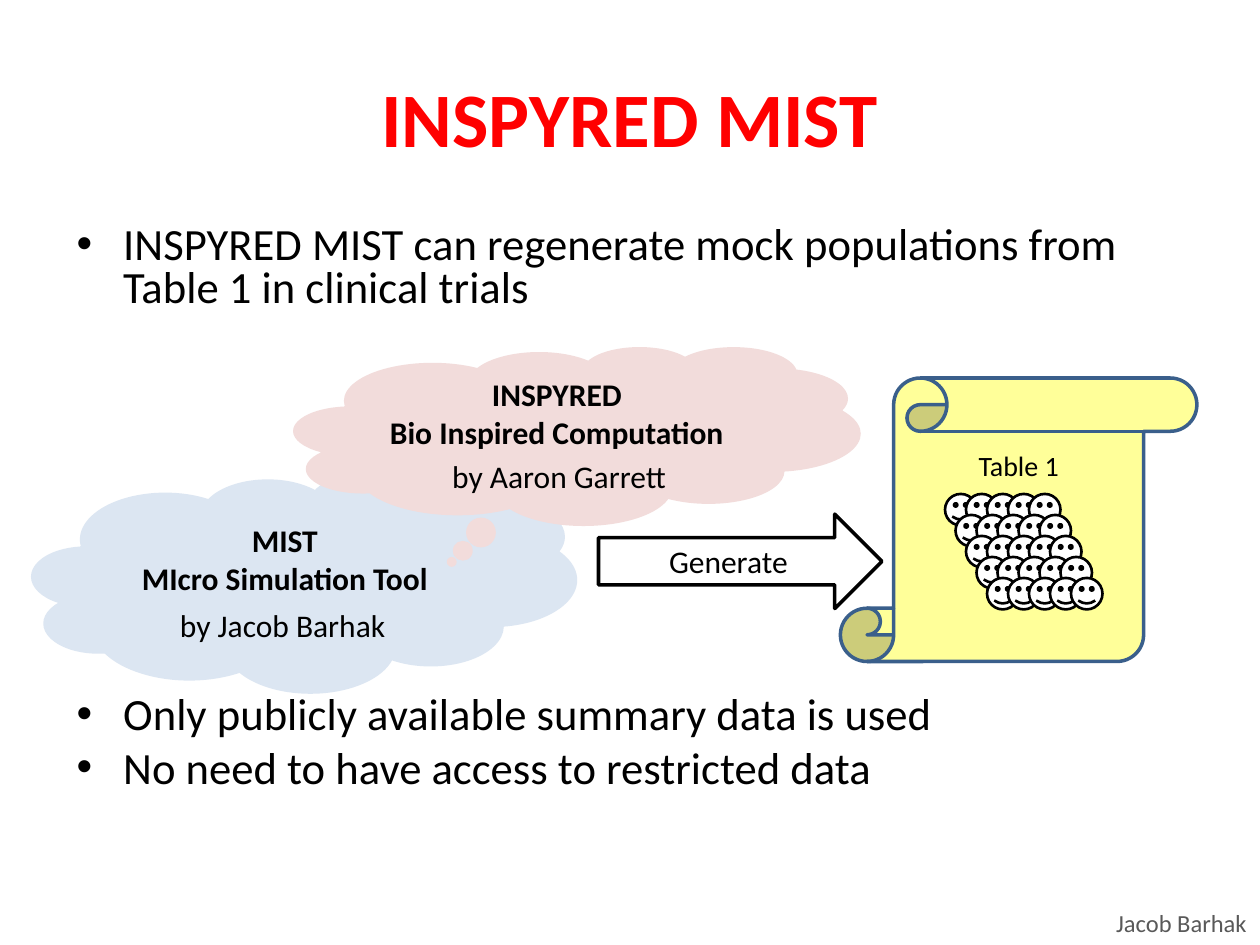
from dataclasses import dataclass

from lxml.etree import SubElement
from pptx import Presentation
from pptx.dml.color import RGBColor
from pptx.enum.shapes import MSO_SHAPE as Preset
from pptx.enum.text import MSO_ANCHOR as Anchor, MSO_AUTO_SIZE as AutoSize, PP_ALIGN as Align
from pptx.oxml.ns import qn
from pptx.shapes.autoshape import Shape
from pptx.slide import Slide
from pptx.util import Inches, Pt


@dataclass(frozen=True)
class Theme:
    font: str = "Calibri"
    ink: str = "000000"
    title: str = "FF0000"
    footer: str = "595959"
    paper: str = "FFFFFF"
    mist: str = "DCE6F2"
    inspyred: str = "F2DCDB"
    scroll: str = "FFFF99"
    scroll_line: str = "3A5F8B"
    title_size: float = 44
    bullet_size: float = 25.5
    label_size: float = 18
    table_size: float = 16
    footer_size: float = 14


THEME = Theme()


@dataclass(frozen=True)
class Box:
    left: float
    top: float
    width: float
    height: float

    def lengths(self) -> list[int]:
        return [Inches(value) for value in (self.left, self.top, self.width, self.height)]


@dataclass(frozen=True)
class Cloud:
    box: Box
    tail: tuple[float, float]
    fill: str
    lines: list[str]


@dataclass(frozen=True)
class Label:
    box: Box
    text: str
    size: float = THEME.label_size
    color: str = THEME.ink


CLOUDS = [
    Cloud(Box(0.25, 3.75, 4.33, 1.75), (0.018, -0.008), THEME.mist,
          ["MIST", "MIcro Simulation Tool"]),
    Cloud(Box(2.33, 2.75, 4.5, 1.42), (-0.221, 0.704), THEME.inspyred,
          ["INSPYRED", "Bio Inspired Computation"]),
]
LABELS = [
    Label(Box(3.49, 3.58, 1.95, 0.4), "by Aaron Garrett"),
    Label(Box(1.33, 4.76, 1.83, 0.4), "by Jacob Barhak"),
    Label(Box(8.76, 7.16, 1.23, 0.33), "Jacob Barhak", THEME.footer_size, THEME.footer),
]
BULLETS = [
    (Box(0.5, 1.75, 9, 0.9),
     ["INSPYRED MIST can regenerate mock populations from Table 1 in clinical trials"]),
    (Box(0.5, 5.48, 9, 1.22),
     ["Only publicly available summary data is used",
      "No need to have access to restricted data"]),
]


def write_text(shape: Shape, lines: list[str], *, size: float = THEME.label_size,
               color: str = THEME.ink, bold: bool = False, align: Align = Align.CENTER,
               anchor: Anchor = Anchor.MIDDLE, bullet: bool = False,
               space_below: float = 0, margin_right: float = 0.1) -> None:
    frame = shape.text_frame
    frame.word_wrap = True
    frame.auto_size = AutoSize.NONE
    frame.vertical_anchor = anchor
    frame.margin_right = Inches(margin_right)
    frame.margin_bottom = Inches(0.05 + space_below)
    for index, line in enumerate(lines):
        paragraph = frame.add_paragraph() if index else frame.paragraphs[0]
        paragraph.alignment = align
        run = paragraph.add_run()
        run.text = line
        run.font.name = THEME.font
        run.font.size = Pt(size)
        run.font.bold = bold
        run.font.color.rgb = RGBColor.from_string(color)
        if bullet:
            paragraph.line_spacing = 0.8
            paragraph.space_before = Pt(6)
            properties = paragraph._p.get_or_add_pPr()
            properties.set("marL", str(Inches(0.38)))
            properties.set("indent", str(Inches(-0.37)))
            SubElement(properties, qn("a:buFont"), typeface="Arial")
            SubElement(properties, qn("a:buChar"), char="•")


def add_preset(slide: Slide, preset: Preset, box: Box, fill: str, *, line: str | None = None,
               line_width: float = 2, adjustments: tuple[float, ...] = ()) -> Shape:
    shape = slide.shapes.add_shape(preset, *box.lengths())
    shape.shadow.inherit = False
    shape.fill.solid()
    shape.fill.fore_color.rgb = RGBColor.from_string(fill)
    if line:
        shape.line.color.rgb = RGBColor.from_string(line)
        shape.line.width = Pt(line_width)
    else:
        shape.line.fill.background()
    for index, value in enumerate(adjustments):
        shape.adjustments[index] = value
    return shape


def add_population(slide: Slide, left: float, top: float, count: int = 5) -> None:
    step = 1 / 6
    for row in range(count):
        for column in range(count):
            face = Box(left + (column + row / 2) * step, top + row * step, 0.25, 0.25)
            add_preset(slide, Preset.SMILEY_FACE, face, THEME.paper,
                       line=THEME.ink, line_width=1.5)


def main() -> None:
    presentation = Presentation()
    presentation.slide_width, presentation.slide_height = Inches(10), Inches(7.5)
    slide = presentation.slides.add_slide(presentation.slide_layouts[6])

    # Title and bullets
    title = slide.shapes.add_textbox(*Box(0.5, 0.3, 9, 1.25).lengths())
    write_text(title, ["INSPYRED MIST"], size=THEME.title_size, color=THEME.title, bold=True)
    for box, lines in BULLETS:
        write_text(slide.shapes.add_textbox(*box.lengths()), lines, size=THEME.bullet_size,
                   align=Align.LEFT, anchor=Anchor.TOP, bullet=True)

    # Tool clouds, with room below the names for the authors
    for cloud in CLOUDS:
        shape = add_preset(slide, Preset.CLOUD_CALLOUT, cloud.box, cloud.fill,
                           adjustments=cloud.tail)
        write_text(shape, cloud.lines, bold=True, space_below=0.3)

    # Table scroll and its mock population
    scroll = add_preset(slide, Preset.VERTICAL_SCROLL, Box(6.67, 3, 2.83, 2.25), THEME.scroll,
                        line=THEME.scroll_line, adjustments=(0.188,))
    write_text(scroll, ["Table 1"], size=THEME.table_size, space_below=1.08)
    add_population(slide, 7.5, 3.92)

    # Generate arrow
    arrow = add_preset(slide, Preset.RIGHT_ARROW, Box(4.75, 4.08, 2.25, 0.75), THEME.paper,
                       line=THEME.ink)
    write_text(arrow, ["Generate"])

    # Authors and footer, each on a single line
    for label in LABELS:
        write_text(slide.shapes.add_textbox(*label.box.lengths()), [label.text],
                   size=label.size, color=label.color, align=Align.LEFT,
                   anchor=Anchor.TOP, margin_right=0)

    presentation.save("out.pptx")


if __name__ == "__main__":
    main()
